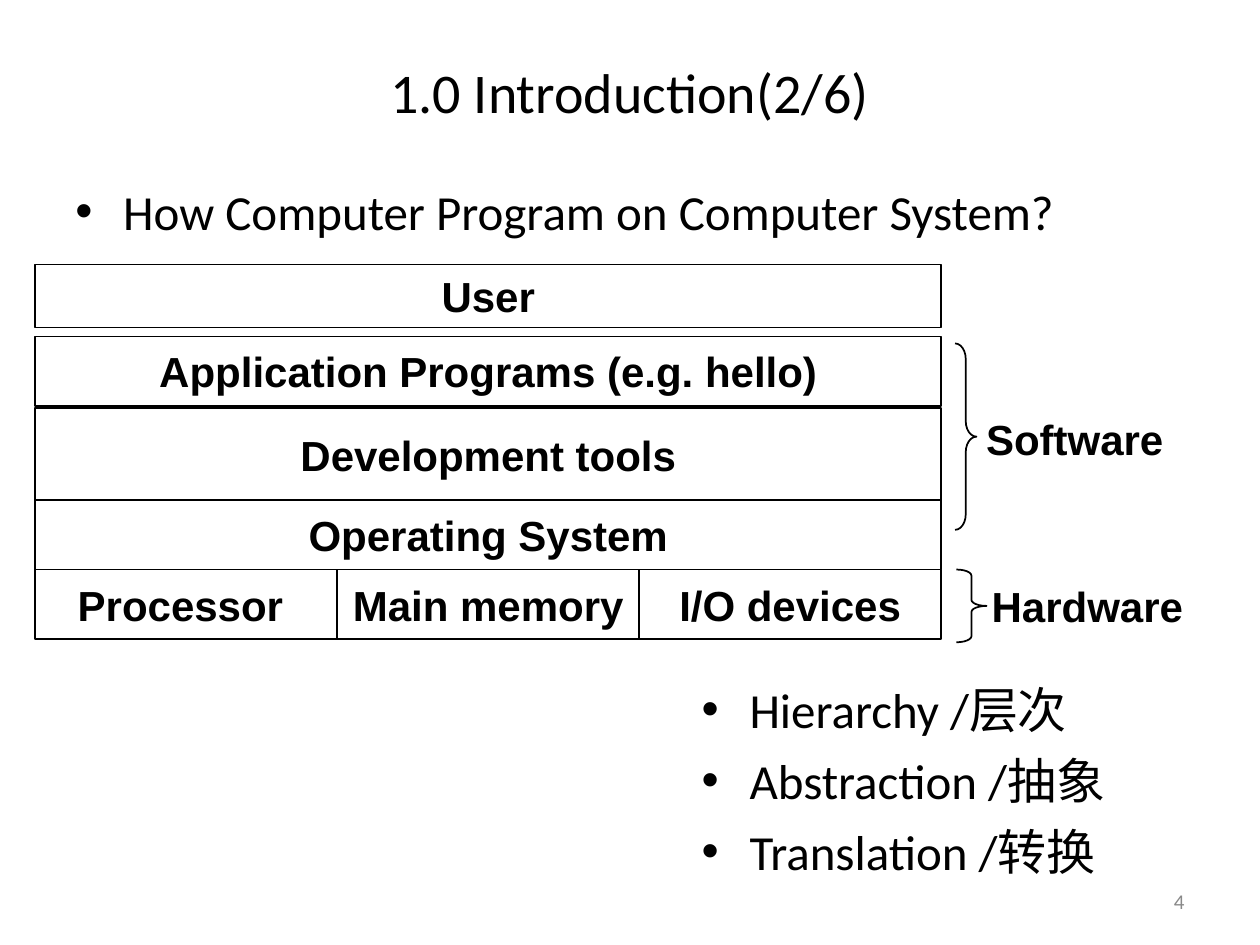
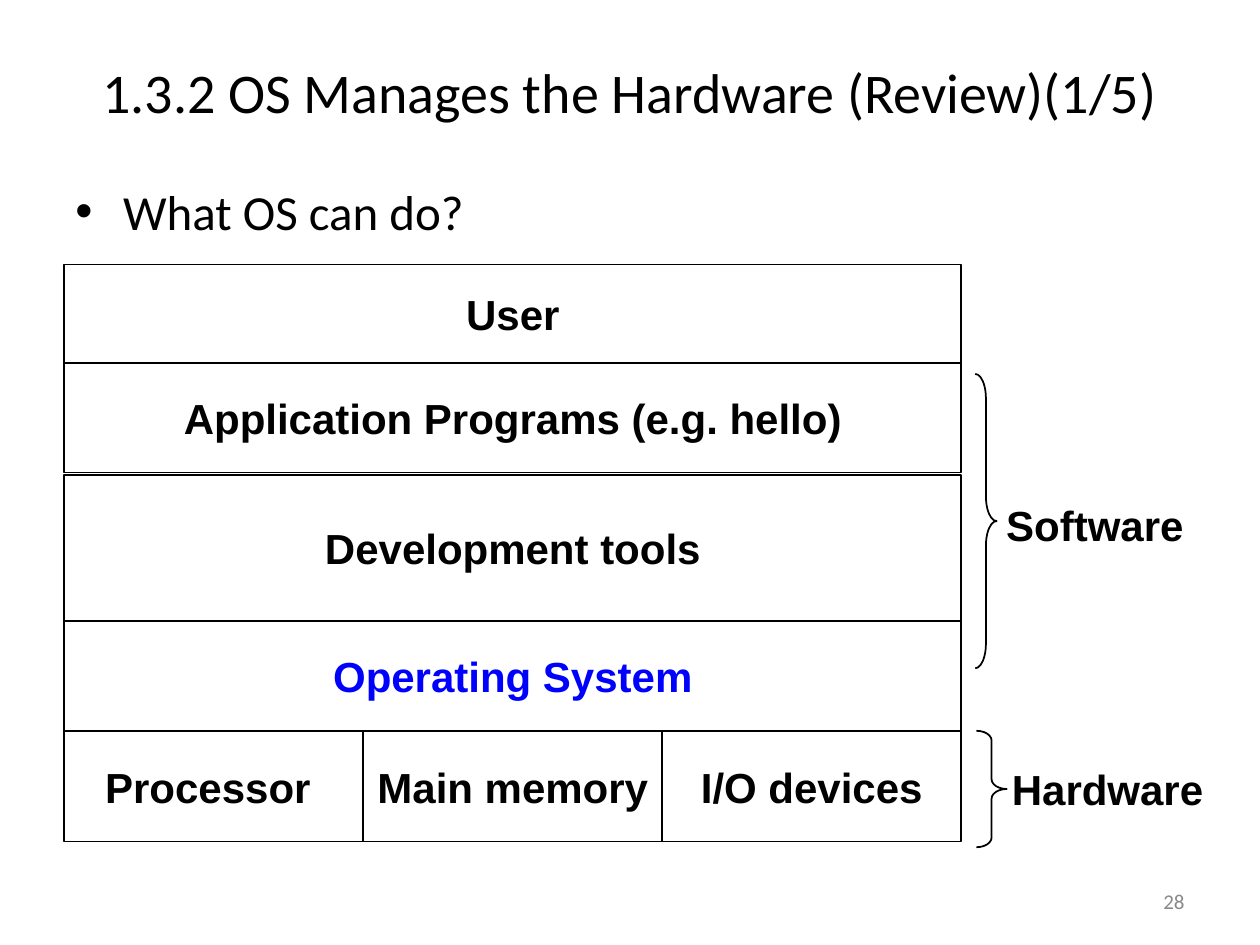
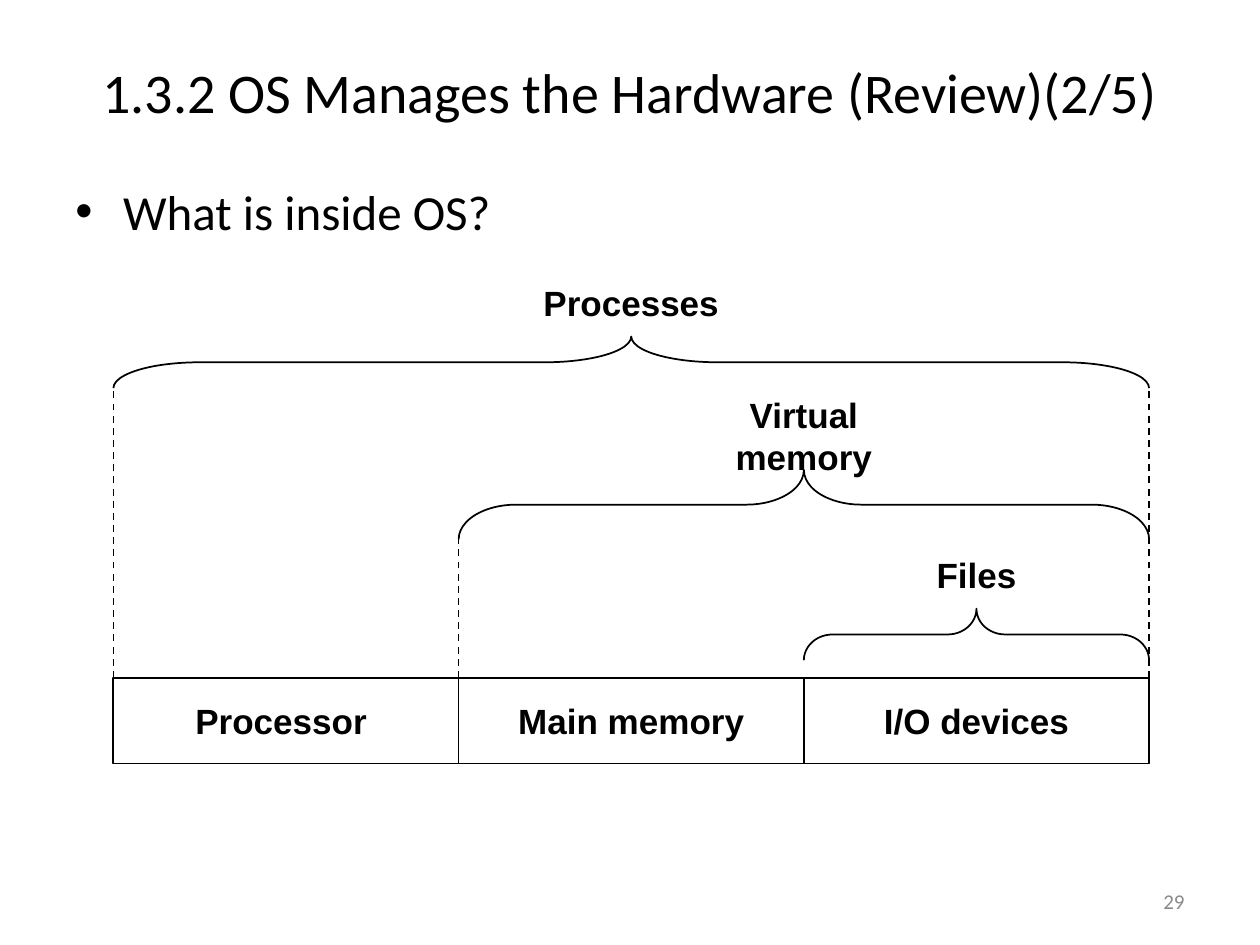
import pptx
import pptx.util
import pptx.dml.color
import pptx.enum.dml
import pptx.enum.shapes
import pptx.enum.text
import pptx.oxml.ns
import lxml.etree

Inches = pptx.util.Inches
Pt = pptx.util.Pt
RGBColor = pptx.dml.color.RGBColor
SHAPE = pptx.enum.shapes.MSO_SHAPE
ALIGN = pptx.enum.text.PP_ALIGN
ANCHOR = pptx.enum.text.MSO_ANCHOR
qn = pptx.oxml.ns.qn

BLACK = RGBColor(0x00, 0x00, 0x00)
BLUE = RGBColor(0x00, 0x00, 0xFF)
GREY = RGBColor(0x89, 0x89, 0x89)
BODY = "Calibri"
LABEL = "Arial"
PARTS = ["Processor ", "Main memory", "I/O devices"]
LAYERS = ["User", "Application Programs (e.g. hello)",
          "Development tools", "Operating System"]


# Shared text and line helpers
def style(par, size, name=BODY, color=BLACK, bold=False, align=ALIGN.CENTER):
    par.alignment = align
    font = par.font
    font.size, font.name, font.bold = Pt(size), name, bold
    font.color.rgb = color


def outline(shape):
    shape.line.color.rgb = BLACK
    shape.line.width = Pt(1)


def text_box(slide, box, wrap=True):
    frame = slide.shapes.add_textbox(*map(Inches, box)).text_frame
    frame.word_wrap = wrap
    return frame


def label(slide, text, mid_x, mid_y, size):
    """Write a bold label centred on a point."""
    wide, high = 2, 0.5
    frame = text_box(slide, (mid_x - wide / 2, mid_y - high / 2, wide, high), False)
    frame.vertical_anchor = ANCHOR.MIDDLE
    frame.text = text
    style(frame.paragraphs[0], size, LABEL, bold=True)


def cell(slide, text, box, size, color=BLACK):
    shape = slide.shapes.add_shape(SHAPE.RECTANGLE, *map(Inches, box))
    shape.shadow.inherit = False
    shape.fill.background()
    outline(shape)
    frame = shape.text_frame
    frame.word_wrap = False
    frame.vertical_anchor = ANCHOR.MIDDLE
    frame.text = text
    style(frame.paragraphs[0], size, LABEL, color, True)


def part_row(slide, box, size):
    """Split a box evenly among the hardware parts."""
    left, top, width, height = box
    step = width / len(PARTS)
    for col, part in enumerate(PARTS):
        cell(slide, part, (left + col * step, top, step, height), size)


def brace(slide, box, up=False):
    """Draw a brace that fills the box and points right or up."""
    left, top, width, height = box
    if up:
        left, top = left + (width - height) / 2, top + (height - width) / 2
        width, height = height, width
    shape = slide.shapes.add_shape(
        SHAPE.RIGHT_BRACE, *map(Inches, (left, top, width, height)))
    shape.adjustments[0] = height / 12 / width
    shape.rotation = 270 if up else 0
    shape.shadow.inherit = False
    shape.fill.background()
    outline(shape)


def dash_line(slide, x, top, bottom):
    line = slide.shapes.add_connector(
        pptx.enum.shapes.MSO_CONNECTOR.STRAIGHT,
        *map(Inches, (x, bottom, x, top)))
    outline(line)
    line.line.dash_style = pptx.enum.dml.MSO_LINE.DASH
    lxml.etree.SubElement(line._element.spPr, qn("a:effectLst"))


def bullets(slide, box, items):
    frame = text_box(slide, box)
    frame.text = "\n".join(items)
    for par in frame.paragraphs:
        style(par, 28, align=ALIGN.LEFT)
        par.space_before = Pt(7)
        props = par._p.get_or_add_pPr()
        props.set("marL", str(Inches(0.38)))
        props.set("indent", str(-Inches(0.38)))
        lxml.etree.SubElement(props, qn("a:buFont")).set("typeface", LABEL)
        lxml.etree.SubElement(props, qn("a:buChar")).set("char", "•")
        # Bullet elements come before the default run properties
        props.append(props.find(qn("a:defRPr")))


def new_slide(deck, title, point, number):
    """Add the title, the leading bullet and the slide number."""
    slide = deck.slides.add_slide(deck.slide_layouts[5])
    head = slide.shapes.title
    head.left, head.top, head.width, head.height = map(Inches, (0, 0.3, 10, 0.85))
    head.text_frame.text = title
    head.text_frame.vertical_anchor = ANCHOR.MIDDLE
    style(head.text_frame.paragraphs[0], 32)
    bullets(slide, (0.5, 1.39, 9, 5.31), [point])
    frame = text_box(slide, (7.17, 6.95, 2.33, 0.4))
    frame.vertical_anchor = ANCHOR.MIDDLE
    frame.text = str(number)
    style(frame.paragraphs[0], 12, color=GREY, align=ALIGN.RIGHT)
    return slide


# Layered system: stacked rows with braces at their right
def system(slide, left, top, width, rows, os_color=BLACK):
    """Stack the layers; rows holds the gap above and height of each."""
    tops = []
    for row, (gap, height) in enumerate(rows):
        top += gap
        tops.append(top)
        box = (left, top, width, height)
        if row < len(LAYERS):
            color = os_color if LAYERS[row] == "Operating System" else BLACK
            cell(slide, LAYERS[row], box, 24, color)
        else:
            part_row(slide, box, 24)
        top += height
    right = left + width
    soft, hard = tops[1], tops[-1]
    span, height = hard - soft, rows[-1][1] * 1.05
    brace(slide, (right + 0.11, soft + 0.03 * span, 0.17, 0.8 * span))
    label(slide, "Software", right + 1.06, soft + 0.44 * span, 24)
    brace(slide, (right + 0.12, hard, 0.24, height))
    label(slide, "Hardware", right + 1.16, hard + height / 2, 24)


# Abstractions: each brace spans from its first part to the last
def abstract(slide, left, top, width, height):
    row_h = 0.68
    row_top = top + height - row_h
    right, step = left + width, width / len(PARTS)
    part_row(slide, (left, row_top, width, row_h), 20)
    spans = [("Processes", 0.5, 0.41), ("Virtual memory", 1.56, 0.55),
             ("Files", 2.66, 0.41)]
    for col, (name, drop, high) in enumerate(spans):
        x, y = left + col * step, top + drop
        brace(slide, (x, y, right - x, high), up=True)
        label(slide, name, (x + right) / 2, y - 0.27, 20)
        if col < 2:
            dash_line(slide, x, y + high, row_top)
        if col == 0:
            dash_line(slide, right, y + high, row_top)


def main():
    deck = pptx.Presentation()
    deck.slide_width, deck.slide_height = Inches(10), Inches(7.5)

    slide = new_slide(deck, "1.0 Introduction(2/6)",
                      "How Computer Program on Computer System?", 4)
    system(slide, 0.28, 2.1, 7.19,
           [(0, 0.5), (0.07, 0.55), (0.02, 0.73), (0, 0.55), (0, 0.55)])
    bullets(slide, (5.47, 5.34, 3.88, 1.73),
            ["Hierarchy /层次", "Abstraction /抽象", "Translation /转换"])

    review = "1.3.2 OS Manages the Hardware (Review)"
    slide = new_slide(deck, review + "(1/5)", "What OS can do?", 28)
    system(slide, 0.51, 2.1, 7.12,
           [(0, 0.78), (0, 0.87), (0.02, 1.16), (0, 0.87), (0, 0.88)], BLUE)

    slide = new_slide(deck, review + "(2/5)", "What is inside OS?", 29)
    abstract(slide, 0.9, 2.17, 8.22, 3.89)

    deck.save("out.pptx")


if __name__ == "__main__":
    main()
